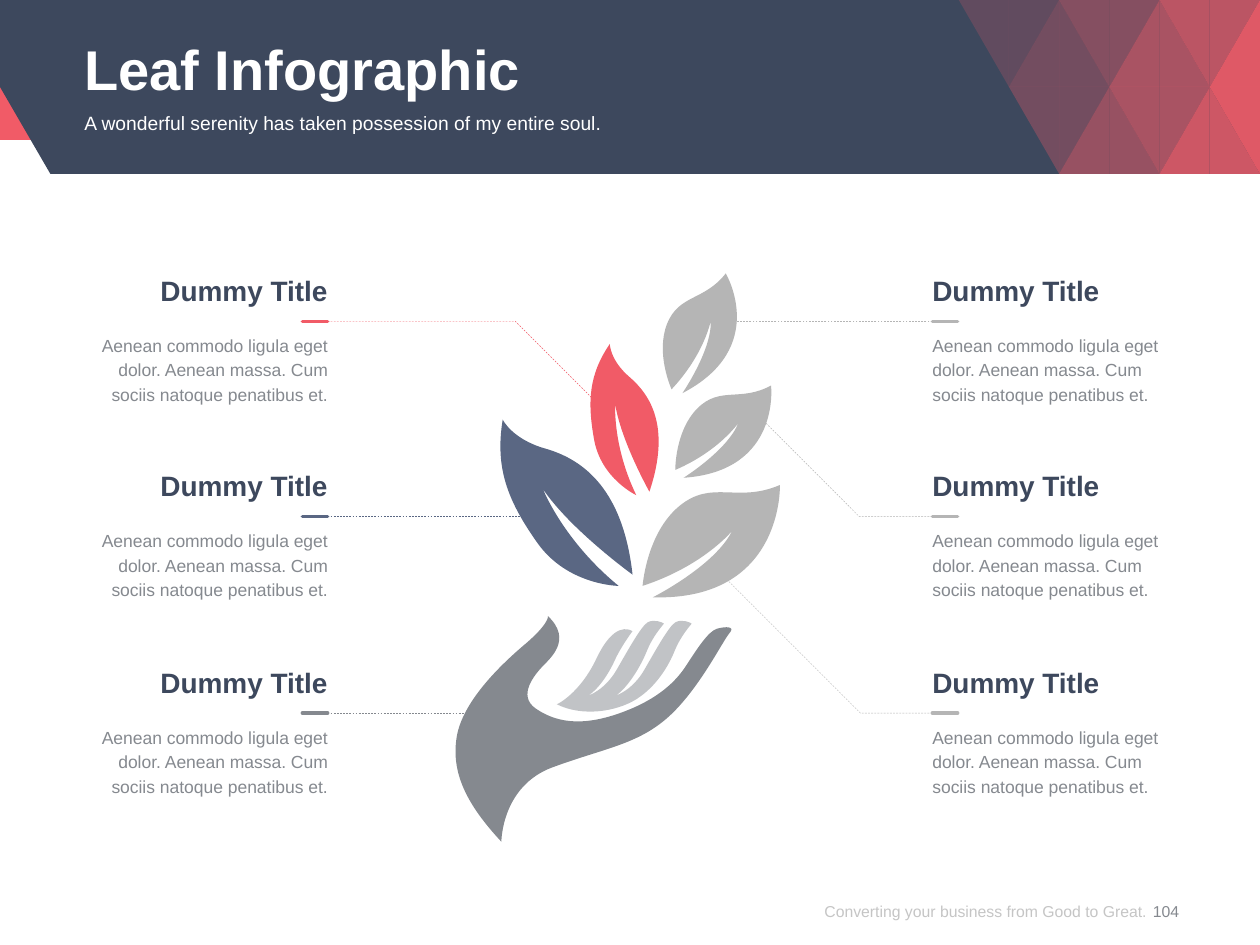
from lxml import etree
from pptx import Presentation
from pptx.dml.color import RGBColor
from pptx.enum import dml, shapes, text
from pptx.oxml import ns
from pptx.util import Inches, Pt

NAVY = RGBColor(0x3D, 0x48, 0x5D)
BLUE = RGBColor(0x5A, 0x67, 0x83)
CORAL = RGBColor(0xF1, 0x5B, 0x67)
SILVER = RGBColor(0xB5, 0xB5, 0xB5)
GRAY = RGBColor(0x85, 0x89, 0x8F)
FOOTER_GRAY = RGBColor(0x8C, 0x8C, 0x8C)
WHITE = RGBColor(0xFF, 0xFF, 0xFF)

BODY = "Aenean commodo ligula eget dolor. Aenean massa. Cum sociis natoque penatibus et."
ITEM_TOPS = (2.17, 3.72, 5.28)
LEFT_ITEMS = (
    (CORAL, [(1.54, 0), (2.18, 0.64)]),
    (BLUE, [(1.65, 0)]),
    (GRAY, [(1.26, 0)]),
)
RIGHT_ITEMS = (
    (SILVER, [(-1.6, 0)]),
    (SILVER, [(-0.63, 0), (-1.4, -0.77)]),
    (SILVER, [(-0.62, 0), (-1.73, -1.11)]),
)
TRIANGLE_OPACITY = ((20, 30, 40, 60, 70, 90), (30, 50, 60, 80, 90))

ROUND_LEAF = (
    [(0, 0), (0.46, -0.42), (0.99, -0.47), (0.8, -0.11)],
    [(1, 0), (0, 1)],
    [(-0.09, 0.16), (0.24, 0.28)],
    [(0.56, 0.09), (0.23, 0.21)],
)
LONG_LEAF = (
    [(0, 0), (0.42, -0.68), (0.94, -0.69), (1.05, -0.55)],
    [(1, 0), (0.92, -0.06), (0.37, 0.65), (0, 1)],
    [(-0.11, 0.29), (0.41, -0.12)],
    [(0.65, -0.11), (0.47, -0.32)],
)
LEAVES = (
    (ROUND_LEAF, SILVER, (1.6, 2.65), (2.69, 1.85), (2.72, 2.77)),
    (LONG_LEAF, BLUE, (1.41, 2.65), (0.49, 1.33), (1.44, 1.84)),
    (ROUND_LEAF, SILVER, (1.86, 1.73), (2.62, 1.06), (2.7, 1.74)),
    (ROUND_LEAF, SILVER, (1.83, 1.09), (2.26, 0.17), (2.61, 0.76)),
    (LONG_LEAF, CORAL, (1.55, 1.93), (1.34, 0.73), (1.83, 1.38)),
)
PALM = (
    [(0.85, 2.89), (0.86, 2.95), (0.47, 3.28), (0.17, 3.57), (0.08, 4.13), (0.2, 4.38)],
    [(0.48, 4.68), (0.48, 4.24), (1.29, 3.94), (1.56, 3.91), (2.05, 3.47), (2.24, 3.08),
     (2.34, 2.97), (2.26, 2.97), (2.12, 3.01), (2.02, 3.17), (1.87, 3.4), (1.73, 3.55),
     (1.11, 3.77), (0.91, 3.73), (0.6, 3.52), (0.75, 3.35), (0.86, 3.23), (1.05, 3.08)],
)
FIRST_FINGER = (
    [(0.92, 3.59), (1.1, 3.51), (1.37, 2.94), (1.49, 2.99)],
    [(1.52, 3.01), (1.43, 3.13), (1.33, 3.35), (1.25, 3.47)],
)
NEXT_FINGER = (
    [(1.17, 3.52), (1.3, 3.48), (1.49, 3.15), (1.59, 2.97), (1.69, 2.91), (1.76, 2.94)],
    [(1.77, 2.95), (1.68, 3.05), (1.59, 3.28), (1.49, 3.45)],
)
FINGER_GAP = 0.22
KNUCKLES = [(1.39, 3.65), (1.12, 3.69)]


def set_opacity(element, percent):
    if percent < 100:
        for color in element.iter(ns.qn("a:srgbClr")):
            etree.SubElement(color, ns.qn("a:alpha"), val=str(percent * 1000))


def add_text(page, box, content, size, color, bold=False, spacing=None, opacity=100,
             align=text.PP_ALIGN.LEFT, anchor=text.MSO_ANCHOR.TOP):
    frame = page.shapes.add_textbox(*map(Inches, box)).text_frame
    frame.word_wrap = True
    frame.vertical_anchor = anchor
    frame.margin_left = frame.margin_right = frame.margin_top = frame.margin_bottom = 0
    para = frame.paragraphs[0]
    para.alignment = align
    if spacing:
        para.line_spacing = Pt(spacing)
    span = para.add_run()
    span.text = content
    span.font.name = "Arial"
    span.font.size = Pt(size)
    span.font.bold = bold
    span.font.color.rgb = color
    set_opacity(para._p, opacity)


def add_outline(page, points, origin=(0, 0), closed=True):
    corners = [(Inches(origin[0] + x), Inches(origin[1] + y)) for x, y in points]
    builder = page.shapes.build_freeform(*corners[0])
    builder.add_line_segments(corners[1:], close=closed)
    outline = builder.convert_to_shape()
    outline.shadow.inherit = False
    return outline


def paint(shape, color, opacity=100):
    shape.shadow.inherit = False
    shape.fill.solid()
    shape.fill.fore_color.rgb = color
    shape.line.fill.background()
    set_opacity(shape.element, opacity)


def curve_points(strokes):
    points = [strokes[0][0]]
    for index, stroke in enumerate(strokes):
        corner = strokes[(index + 1) % len(strokes)][0]
        pairs = list(zip(stroke[::2], stroke[1::2]))
        for (first, second), following in zip(pairs, pairs[1:] + [None]):
            if following:
                end = tuple((a + b) / 2 for a, b in zip(second, following[0]))
            else:
                end = corner
            points += [first, second, end]
    return points


def add_curve(page, strokes, origin, color, opacity=100):
    outline = add_outline(page, curve_points(strokes), origin)
    segments = list(outline.element.iter(ns.qn("a:lnTo")))
    for first, second, third in zip(*[iter(segments)] * 3):
        first.tag = ns.qn("a:cubicBezTo")
        for segment in (second, third):
            first.append(segment[0])
            segment.getparent().remove(segment)
    paint(outline, color, opacity)


def fit_leaf(leaf, base, tip, belly):
    def place(along, across):
        return tuple(b + along * (t - b) + across * (s - b)
                     for b, t, s in zip(base, tip, belly))
    return [[place(*point) for point in stroke] for stroke in leaf]


def add_line(page, points, color, width, dash=None, cap="flat"):
    if len(points) == 2:
        ends = [Inches(value) for point in points for value in point]
        line = page.shapes.add_connector(shapes.MSO_CONNECTOR.STRAIGHT, *ends)
        etree.SubElement(line.element.spPr, ns.qn("a:effectLst"))
    else:
        line = add_outline(page, points, closed=False)
        line.fill.background()
    line.line.color.rgb = color
    line.line.width = Pt(width)
    line.line.dash_style = dash
    line.line._get_or_add_ln().set("cap", cap)


def add_triangles(page, box):
    left, top, width, height = box
    step, rise = width / 6, height / 2
    for row, opacities in enumerate(TRIANGLE_OPACITY):
        for index, opacity in enumerate(opacities):
            middle = row + index + 1
            base, apex = (row, row + 1) if index % 2 == 0 else (row + 1, row)
            for corner in (middle - 1, middle + 1):
                if max(corner, middle) <= 6:
                    cells = [(corner, base), (middle, base), (middle, apex)]
                    points = [(x * step, y * rise) for x, y in cells]
                    paint(add_outline(page, points, (left, top)), CORAL, opacity)


def add_header(page, box):
    left, top, width, height = box
    strip = page.shapes.add_shape(shapes.MSO_SHAPE.RECTANGLE,
                                  *map(Inches, (left, top, width, 1.11)))
    paint(strip, CORAL)
    banner = [(0, 0), (width, 0), (width, height), (0.4, height), (0, height / 2)]
    paint(add_outline(page, banner, (left, top)), NAVY)
    add_triangles(page, (left + width - 2.39, top, 2.39, height))
    add_text(page, (left + 0.67, top + 0.19, width - 1.34, 0.65), "Leaf Infographic", 32,
             WHITE, bold=True, spacing=42, anchor=text.MSO_ANCHOR.MIDDLE)
    add_text(page, (left + 0.67, top + 0.88, width - 1.34, 0.39),
             "A wonderful serenity has taken possession of my entire soul.", 11, WHITE)


def add_item(page, box, color, bends, on_left):
    left, top, width, height = box
    align = text.PP_ALIGN.RIGHT if on_left else text.PP_ALIGN.LEFT
    rule_left = left + width - 0.2 if on_left else left
    rule_top = top + 0.38
    start = rule_left + (0.15 if on_left else 0.05)
    leader = [(start + x, rule_top + y) for x, y in [(0, 0), *bends]]
    add_line(page, leader, color, 0.25, dash=dml.MSO_LINE.DASH)
    add_line(page, [(rule_left, rule_top), (rule_left + 0.2, rule_top)], color, 2, cap="rnd")
    add_text(page, (left, top, width, 0.27), "Dummy Title", 16, NAVY, bold=True, align=align)
    add_text(page, (left, top + 0.46, width, height - 0.46), BODY, 10, GRAY,
             spacing=14, align=align)


def add_plant(page, box):
    origin = box[:2]
    for leaf, color, base, tip, belly in LEAVES:
        add_curve(page, fit_leaf(leaf, base, tip, belly), origin, color)
    add_curve(page, PALM, origin, GRAY)
    shifted = [[(x + FINGER_GAP, y) for x, y in stroke] for stroke in NEXT_FINGER]
    fingers = [*FIRST_FINGER, *NEXT_FINGER, shifted[0], shifted[1] + KNUCKLES]
    add_curve(page, fingers, origin, GRAY, opacity=50)


def add_footer(page, box):
    left, top, width, height = box
    add_text(page, (left, top, 3.06, height), "Converting your business from Good to Great.", 9,
             FOOTER_GRAY, opacity=50, align=text.PP_ALIGN.RIGHT, anchor=text.MSO_ANCHOR.MIDDLE)
    add_text(page, (left + width - 0.47, top, 0.47, height), "104", 9, GRAY,
             align=text.PP_ALIGN.CENTER, anchor=text.MSO_ANCHOR.MIDDLE)


def main():
    deck = Presentation()
    deck.slide_width, deck.slide_height = Inches(10), Inches(7.5)
    page = deck.slides.add_slide(deck.slide_layouts[6])
    add_header(page, (0, 0, 10, 1.38))
    for left, items, on_left in ((0.67, LEFT_ITEMS, True), (7.4, RIGHT_ITEMS, False)):
        for top, (color, bends) in zip(ITEM_TOPS, items):
            add_item(page, (left, top, 1.93, 1.03), color, bends, on_left)
    add_plant(page, (3.5, 2, 2.8, 4.7))
    add_footer(page, (6.04, 6.96, 3.45, 0.54))
    deck.save("out.pptx")


if __name__ == "__main__":
    main()
